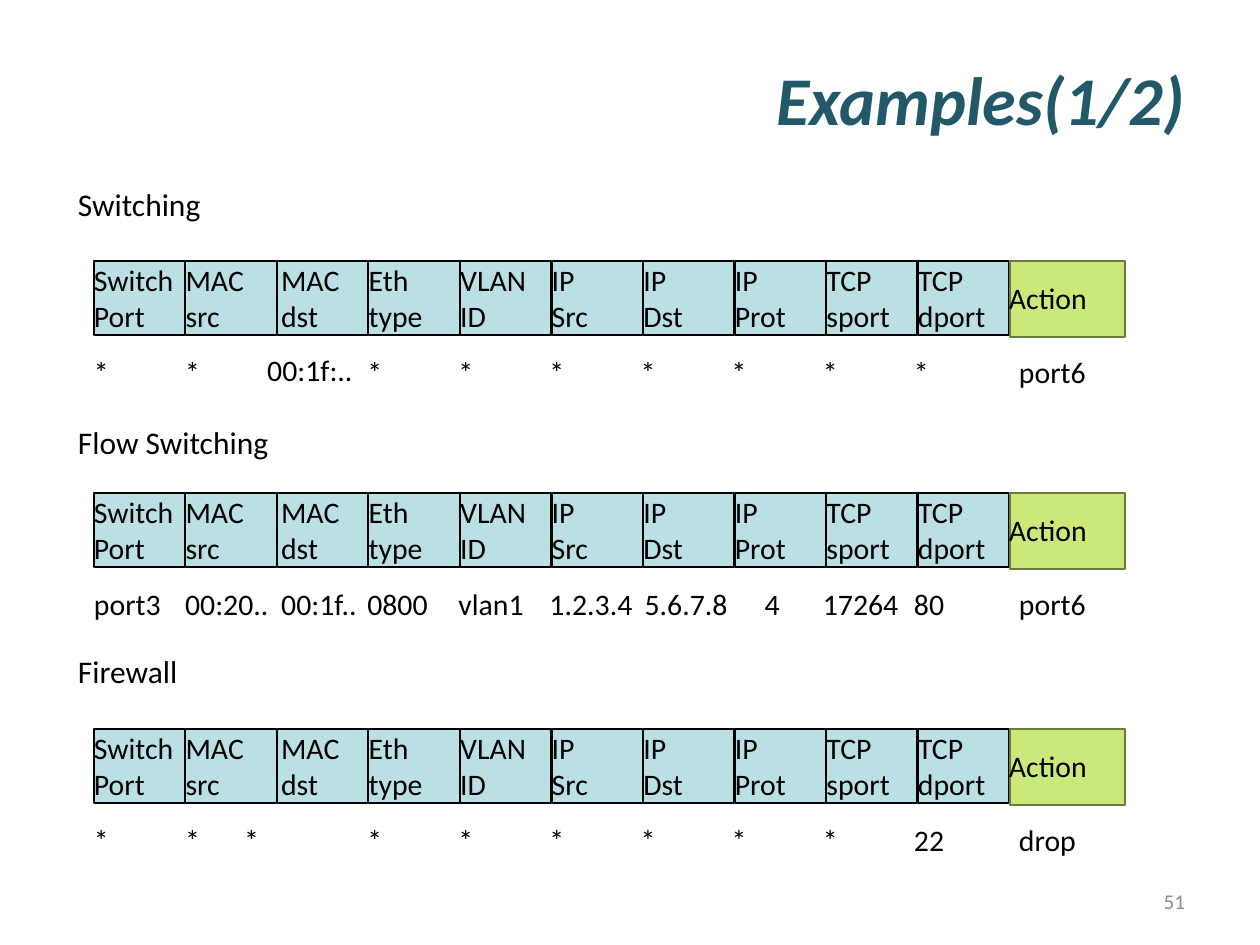
from pptx import Presentation
from pptx.dml.color import RGBColor
from pptx.enum.shapes import MSO_SHAPE
from pptx.enum.text import MSO_ANCHOR, MSO_AUTO_SIZE, PP_ALIGN
from pptx.util import Emu, Pt

EMU_PER_PX = 914400 / 126
COLORS = {"title": "215968", "text": "000000", "number": "8C8C8C", "field": "BBE0E3",
          "field_line": "000000", "action": "CBE97B", "action_line": "697D3A"}
FIELDS = ["Switch\nPort", "MAC\nsrc", "MAC\ndst", "Eth\ntype", "VLAN\nID",
          "IP\nSrc", "IP\nDst", "IP\nProt", "TCP\nsport", "TCP\ndport"]
FIELD_SPAN, VALUE_SPAN = 824, 820  # from the first column to the tenth
COL_W = 91
ACTION_X = 916


def px(value):
    return Emu(round(value * EMU_PER_PX))


def color(name):
    return RGBColor.from_string(COLORS[name])


def add_text(shapes, text, x, y, w, h, *, size=17, fill="text", bold=False, italic=False,
             align=PP_ALIGN.LEFT, inset=0, wrap=True):
    tf = shapes.add_textbox(px(x), px(y), px(w), px(h)).text_frame
    tf.word_wrap = wrap
    tf.auto_size = MSO_AUTO_SIZE.NONE if wrap else MSO_AUTO_SIZE.SHAPE_TO_FIT_TEXT
    tf.vertical_anchor = MSO_ANCHOR.MIDDLE
    tf.margin_left = tf.margin_right = px(2 * inset)
    tf.margin_top = tf.margin_bottom = px(inset)
    for i, line in enumerate(text.split("\n")):
        p = tf.paragraphs[0] if i == 0 else tf.add_paragraph()
        p.alignment = align
        r = p.add_run()
        r.text = line
        r.font.name, r.font.size = "Calibri", Pt(size)
        r.font.bold, r.font.italic = bold, italic
        r.font.color.rgb = color(fill)


def add_box(shapes, x, y, w, h, kind):
    sp = shapes.add_shape(MSO_SHAPE.RECTANGLE, px(x), px(y), px(w), px(h))
    sp.shadow.inherit = False
    sp.fill.solid()
    sp.fill.fore_color.rgb = color(kind)
    sp.line.color.rgb = color(kind + "_line")
    sp.line.width = Pt(1)


def add_header(s, x, y):
    shapes = s.shapes.add_group_shape().shapes
    for i, field in enumerate(FIELDS):
        left = x + FIELD_SPAN * i / (len(FIELDS) - 1)
        indent = 4 if field == "MAC\ndst" else 0
        add_box(shapes, left, y, COL_W, 74, "field")
        add_text(shapes, field, left + indent, y - 2, COL_W - indent, 78)
    add_box(shapes, x + ACTION_X, y, 115, 76, "action")
    add_text(shapes, "Action", x + ACTION_X - 1, y + 15, 116, 44)


def add_values(s, x, y, values, action, placing):
    """placing maps a column to its (dx, dy, width) where it leaves the grid."""
    for i, value in enumerate(values):
        dx, dy, w = placing.get(i, (0, 0, COL_W))
        left = x + VALUE_SPAN * i / (len(values) - 1)
        add_text(s.shapes, value, left + dx, y + dy, w, 44)
    add_text(s.shapes, action, x + ACTION_X + 9, y, COL_W, 44)


def add_flow_example(s, x, y, name, name_w, name_gap, values, action, placing):
    add_text(s.shapes, name, x - 16, y - name_gap, name_w, 38, size=18, wrap=False)
    add_header(s, x, y)
    add_values(s, x, y + 89, values, action, placing)


def main():
    prs = Presentation()
    prs.slide_width, prs.slide_height = px(1260), px(945)
    s = prs.slides.add_slide(prs.slide_layouts[6])
    add_text(s.shapes, "Examples(1/2)", 63, 38, 1134, 120, size=39, fill="title",
             bold=True, italic=True, align=PP_ALIGN.RIGHT, inset=6)
    add_flow_example(s, 94, 261, "Switching", 123, 76,
                     ["*", "*", "00:1f:..", *["*"] * 7], "port6", {2: (-9, -2, 156)})
    add_flow_example(s, 94, 493, "Flow Switching", 192, 70,
                     ["port3", "00:20..", "00:1f..", "0800", "vlan1",
                      "1.2.3.4", "5.6.7.8", "4", "17264", "80"], "port6",
                     {2: (5, 0, 120), 6: (4, 0, COL_W), 7: (33, 0, COL_W)})
    add_flow_example(s, 94, 729, "Firewall", 101, 77,
                     [*["*"] * 9, "22"], "drop", {2: (-32, 0, 156)})
    add_text(s.shapes, "51", 903, 876, 294, 50, size=12, fill="number",
             align=PP_ALIGN.RIGHT, inset=6)
    prs.save("out.pptx")


if __name__ == "__main__":
    main()
